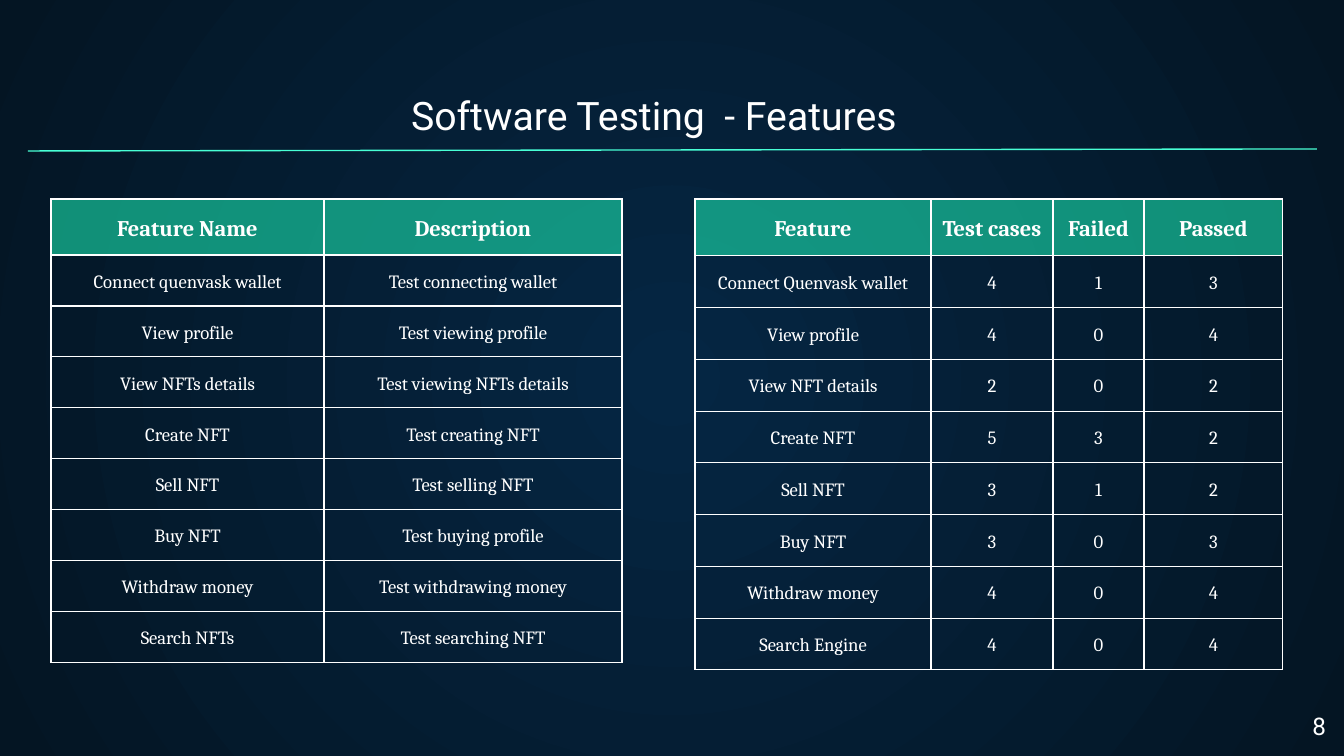
from dataclasses import dataclass

from lxml.etree import SubElement
from pptx import Presentation
from pptx.dml.color import RGBColor as Rgb
from pptx.enum.shapes import MSO_CONNECTOR as Connector
from pptx.enum.text import MSO_ANCHOR as Anchor, PP_ALIGN as Align
from pptx.oxml import parse_xml
from pptx.oxml.ns import nsdecls, qn
from pptx.util import Emu, Pt

PX_PER_INCH = 134.4
PAGE_WIDTH, PAGE_HEIGHT = 1344, 756


def px(length):
    return Emu(round(length * 914400 / PX_PER_INCH))


@dataclass(frozen=True)
class Theme:
    center: str = "052643"
    edge: str = "041523"
    text: str = "FFFFFF"
    rule: str = "48FFD5"
    header: str = "1EFFC1"
    header_alpha: int = 52
    line_width: float = 0.75
    title_size: int = 21
    number_size: int = 13
    header_size: int = 12
    body_size: int = 10
    sans: str = "Roboto"
    serif: str = "Cambria"


class SlideBuilder:
    def __init__(self, page, theme):
        self.page = page
        self.theme = theme

    def background(self):
        """Fill the page with a gradient that spreads from its middle."""
        fill = self.page.background.fill
        fill.gradient()
        for stop, color in zip(fill.gradient_stops, (self.theme.center, self.theme.edge)):
            stop.color.rgb = Rgb.from_string(color)
        gradient = self.page.element.find(".//" + qn("a:gradFill"))
        gradient.replace(gradient.find(qn("a:lin")), parse_xml(
            f'<a:path {nsdecls("a")} path="circle">'
            '<a:fillToRect l="50000" t="50000" r="50000" b="50000"/></a:path>'))

    def style(self, para, size, font, align, bold=False):
        para.alignment = align
        para.font.size = Pt(size)
        para.font.name = font
        para.font.bold = bold
        para.font.color.rgb = Rgb.from_string(self.theme.text)

    def text(self, words, left, top, width, height, size, align, anchor):
        box = self.page.shapes.add_textbox(px(left), px(top), px(width), px(height))
        frame = box.text_frame
        frame.word_wrap = True
        frame.vertical_anchor = anchor
        frame.margin_left = frame.margin_right = px(13)
        frame.margin_top = frame.margin_bottom = px(13)
        frame.text = words
        self.style(frame.paragraphs[0], size, self.theme.sans, align)

    def rule(self, start, end):
        line = self.page.shapes.add_connector(Connector.STRAIGHT, *map(px, start + end))
        line.line.color.rgb = Rgb.from_string(self.theme.rule)
        line.line.width = Pt(self.theme.line_width)
        SubElement(line._element.spPr, qn("a:effectLst"))

    def table(self, left, top, widths, header_height, row_height, rows):
        height = header_height + row_height * (len(rows) - 1)
        table = self.page.shapes.add_table(
            len(rows), len(widths), px(left), px(top), px(sum(widths)), px(height)).table
        table.first_row = table.horz_banding = False
        for column, width in zip(table.columns, widths):
            column.width = px(width)
        for index, values in enumerate(rows):
            table.rows[index].height = px(row_height if index else header_height)
            for column, value in enumerate(values):
                self.cell(table.cell(index, column), str(value), is_header=index == 0)

    def cell(self, cell, words, is_header):
        theme = self.theme
        cell.text = words
        cell.vertical_anchor = Anchor.MIDDLE
        cell.margin_left = cell.margin_right = px(4)
        cell.margin_top = cell.margin_bottom = px(13)
        para = cell.text_frame.paragraphs[0]
        para.line_spacing = 1.15
        size = theme.header_size if is_header else theme.body_size
        self.style(para, size, theme.serif, Align.CENTER, is_header)
        properties = cell._tc.get_or_add_tcPr()
        if is_header:
            cell.fill.solid()
            cell.fill.fore_color.rgb = Rgb.from_string(theme.header)
            color = properties.find(".//" + qn("a:srgbClr"))
            SubElement(color, qn("a:alpha"), val=str(theme.header_alpha * 1000))
        else:
            cell.fill.background()
        for position, side in enumerate("LRTB"):
            properties.insert(position, parse_xml(
                f'<a:ln{side} {nsdecls("a")} w="{Pt(theme.line_width)}">'
                f'<a:solidFill><a:srgbClr val="{theme.text}"/></a:solidFill></a:ln{side}>'))


FEATURES = [
    ("Feature Name", "Description"),
    ("Connect quenvask wallet", "Test connecting wallet"),
    ("View profile", "Test viewing profile"),
    ("View NFTs details", "Test viewing NFTs details"),
    ("Create NFT", "Test creating NFT"),
    ("Sell NFT", "Test selling NFT"),
    ("Buy NFT", "Test buying profile"),
    ("Withdraw money", "Test withdrawing money"),
    ("Search NFTs", "Test searching NFT"),
]
RESULTS = [
    ("Feature", "Test cases", "Failed", "Passed"),
    ("Connect Quenvask wallet", 4, 1, 3),
    ("View profile", 4, 0, 4),
    ("View NFT details", 2, 0, 2),
    ("Create NFT", 5, 3, 2),
    ("Sell NFT", 3, 1, 2),
    ("Buy NFT", 3, 0, 3),
    ("Withdraw money", 4, 0, 4),
    ("Search Engine", 4, 0, 4),
]


def main():
    deck = Presentation()
    deck.slide_width, deck.slide_height = px(PAGE_WIDTH), px(PAGE_HEIGHT)
    theme = Theme()
    slide = SlideBuilder(deck.slides.add_slide(deck.slide_layouts[6]), theme)
    table_top, header_height, row_height = 199, 56, 51

    slide.background()
    slide.table(51, table_top, (273, 298), header_height, row_height, FEATURES)
    slide.text("8", 1258, 698, 81, 58, theme.number_size, Align.RIGHT, Anchor.TOP)
    slide.text("Software Testing  - Features", 398, 62, 548, 89,
               theme.title_size, Align.LEFT, Anchor.BOTTOM)
    slide.rule((28, 151), (1317, 149))
    slide.table(695, table_top, (236, 122, 91, 139), header_height, row_height, RESULTS)
    deck.save("out.pptx")


if __name__ == "__main__":
    main()
